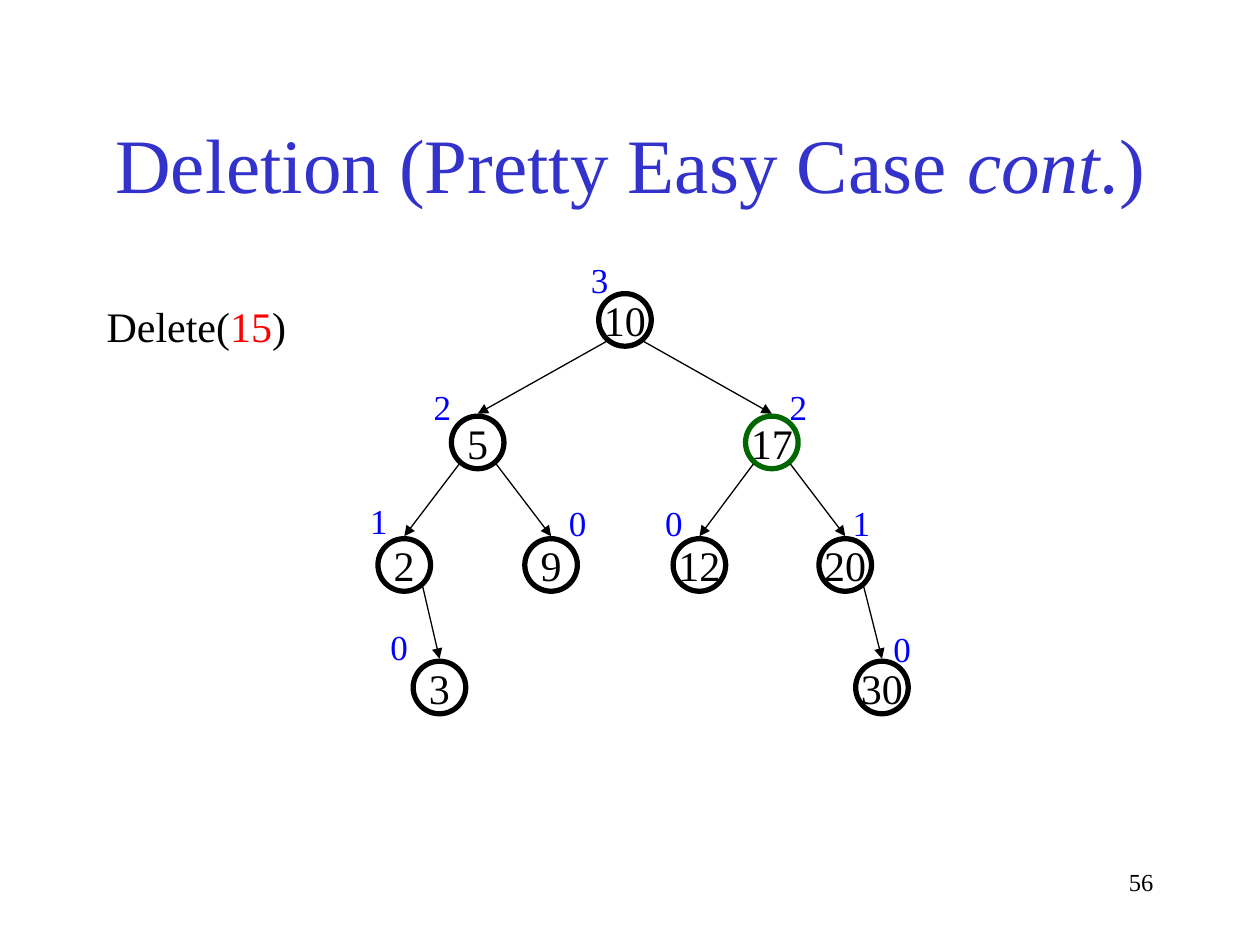
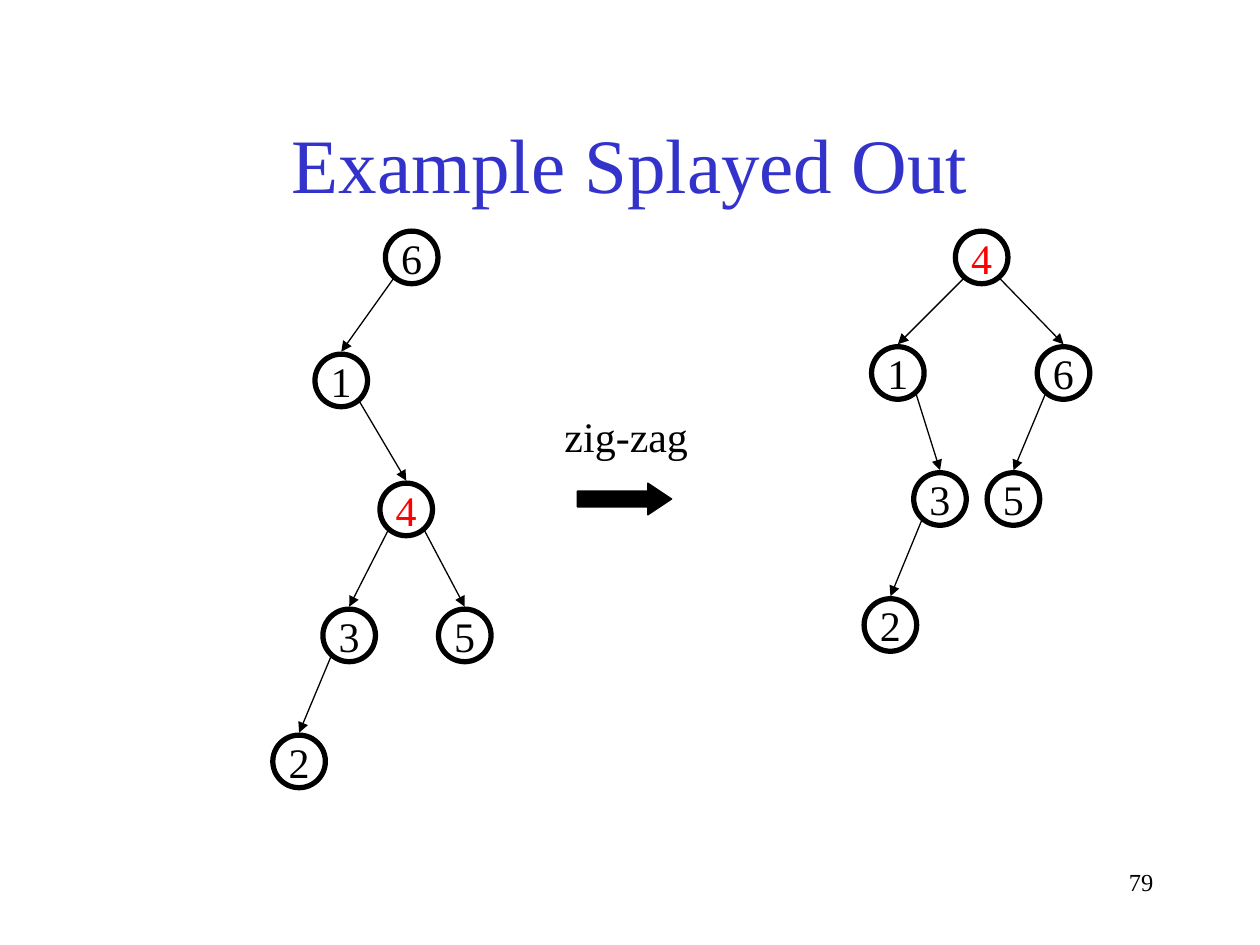
from dataclasses import dataclass

from lxml import etree
from pptx import Presentation
from pptx.dml.color import RGBColor
from pptx.enum.shapes import MSO_CONNECTOR, MSO_SHAPE
from pptx.enum.text import MSO_ANCHOR, MSO_AUTO_SIZE, PP_ALIGN
from pptx.oxml.ns import qn
from pptx.util import Cm, Pt

LEFT, CENTER, RIGHT = PP_ALIGN.LEFT, PP_ALIGN.CENTER, PP_ALIGN.RIGHT
TOP, MIDDLE = MSO_ANCHOR.TOP, MSO_ANCHOR.MIDDLE
FIT_SHAPE = MSO_AUTO_SIZE.SHAPE_TO_FIT_TEXT
CIRCLE, RIGHT_ARROW = MSO_SHAPE.OVAL, MSO_SHAPE.RIGHT_ARROW
STRAIGHT = MSO_CONNECTOR.STRAIGHT


@dataclass(frozen=True)
class Theme:
    font: str = "Times New Roman"
    ink: RGBColor = RGBColor(0, 0, 0)
    title: RGBColor = RGBColor(0x33, 0x33, 0xCC)
    height: RGBColor = RGBColor(0, 0, 0xFF)
    key: RGBColor = RGBColor(0xFF, 0, 0)
    changed: RGBColor = RGBColor(0, 0x66, 0)
    title_size: int = 44
    body_size: int = 24
    height_size: int = 20
    number_size: int = 14
    node_line: float = 3
    edge_line: float = 0.75


THEME = Theme()

# All lengths in centimetres
NODE = 1.06         # diameter of a tree node
EDGE_SIDE = 0.37    # start of an edge, sideways from the node's centre
EDGE_DROP = 0.43    # start of an edge, below the node's centre
EDGE_GAP = 0.05     # space between an arrowhead and its node

# Trees: key -> (left, level, parent key)
AVL_LEVELS = [0, 2.47, 4.94, 7.41]
AVL_TREE = {
    10: (4.45, 0, None),
    5: (1.48, 1, 10), 17: (7.41, 1, 10),
    2: (0, 2, 5), 9: (2.96, 2, 5), 12: (5.95, 2, 17), 20: (8.89, 2, 17),
    3: (0.71, 3, 2), 30: (9.63, 3, 20),
}
# Heights: key -> (height, offset of its label from the node's corner)
AVL_HEIGHTS = {
    10: (3, -0.41, -0.84),
    5: (2, -0.61, -0.74), 17: (2, 0.64, -0.74),
    2: (1, -0.41, -0.91), 9: (0, 0.64, -0.87),
    12: (0, -0.41, -0.87), 20: (1, 0.43, -0.87),
    3: (0, -0.71, -0.84), 30: (0, 0.51, -0.81),
}
BEFORE_LEVELS = [0, 2.48, 5.08, 7.62, 10.16]
BEFORE_TREE = {
    6: (2.27, 0, None), 1: (0.85, 1, 6), 4: (2.16, 2, 1),
    3: (1.01, 3, 4), 5: (3.34, 3, 4), 2: (0, 4, 3),
}
AFTER_LEVELS = [0, 2.33, 4.87, 7.41]
AFTER_TREE = {
    4: (1.84, 0, None), 1: (0.15, 1, 4), 6: (3.49, 1, 4),
    3: (1, 2, 1), 5: (2.48, 2, 6), 2: (0, 3, 3),
}


def write(shape, spans, size, align=LEFT, anchor=TOP, wrap=True):
    """Fill a shape with one paragraph of (text, colour, italic) spans."""
    frame = shape.text_frame
    frame.word_wrap = wrap
    frame.vertical_anchor = anchor
    para = frame.paragraphs[0]
    para.alignment = align
    for text, color, italic in spans:
        span = para.add_run()
        span.text = text
        span.font.name = THEME.font
        span.font.size = Pt(size)
        span.font.italic = italic
        span.font.color.rgb = color


def add_text(page, box, spans, size, **options):
    shape = page.shapes.add_textbox(*map(Cm, box))
    write(shape, spans, size, **options)
    return shape


def add_label(page, box, spans, size):
    """Add a one-line text whose box grows with it."""
    shape = add_text(page, box, spans, size, wrap=False)
    shape.text_frame.auto_size = FIT_SHAPE


def add_frame(page, title, number):
    """Add the parts every slide has: title and slide number."""
    add_text(page, (1.9, 1.69, 21.6, 3.18), title, THEME.title_size,
             align=CENTER, anchor=MIDDLE)
    add_text(page, (18.2, 17.36, 5.3, 1.27), [(str(number), THEME.ink, False)],
             THEME.number_size, align=RIGHT)


def add_node(page, left, top, key, outline, color):
    node = page.shapes.add_shape(CIRCLE, *map(Cm, (left, top, NODE, NODE)))
    node.shadow.inherit = False
    node.fill.background()
    node.line.color.rgb = outline
    node.line.width = Pt(THEME.node_line)
    write(node, [(str(key), color, False)], THEME.body_size,
          align=CENTER, anchor=MIDDLE, wrap=False)


def add_edge(page, parent, child):
    """Point from the lower side of the parent to the top of the child."""
    side = EDGE_SIDE if child[0] > parent[0] else -EDGE_SIDE
    middle = NODE / 2
    ends = (parent[0] + middle + side, parent[1] + middle + EDGE_DROP,
            child[0] + middle, child[1] - EDGE_GAP)
    edge = page.shapes.add_connector(STRAIGHT, *map(Cm, ends))
    edge.line.color.rgb = THEME.ink
    edge.line.width = Pt(THEME.edge_line)
    etree.SubElement(edge.line._get_or_add_ln(), qn("a:tailEnd"), type="triangle")
    etree.SubElement(edge._element.spPr, qn("a:effectLst"))


def add_tree(page, left, top, tree, levels, outlines=None, colors=None):
    """Draw a tree from its top left corner; return the node corners."""
    outlines, colors = outlines or {}, colors or {}
    corners = {key: (left + x, top + levels[level])
               for key, (x, level, _) in tree.items()}
    for key, (_, _, parent) in tree.items():
        add_node(page, *corners[key], key, outlines.get(key, THEME.ink),
                 colors.get(key, THEME.ink))
        if parent is not None:
            add_edge(page, corners[parent], corners[key])
    return corners


def add_heights(page, corners, heights):
    for key, (height, dx, dy) in heights.items():
        x, y = corners[key]
        add_label(page, (x + dx, y + dy, 0.86, 1.12),
                  [(str(height), THEME.height, False)], THEME.height_size)


def add_rotation_sign(page, left, top, name):
    """Add the name of a rotation above a block arrow."""
    add_label(page, (left, top, 3, 1.27), [(name, THEME.ink, False)],
              THEME.body_size)
    arrow = page.shapes.add_shape(
        RIGHT_ARROW, *map(Cm, (left + 0.51, top + 1.58, 1.9, 0.64)))
    arrow.adjustments[0], arrow.adjustments[1] = 0.5, 0.75
    arrow.shadow.inherit = False
    arrow.fill.solid()
    arrow.fill.fore_color.rgb = THEME.ink
    arrow.line.color.rgb = THEME.ink
    arrow.line.width = Pt(THEME.edge_line)


def build_deletion(page):
    add_frame(page, [("Deletion (Pretty Easy Case ", THEME.title, False),
                     ("cont", THEME.title, True),
                     (".)", THEME.title, False)], 56)
    corners = add_tree(page, 7.62, 5.92, AVL_TREE, AVL_LEVELS,
                       outlines={17: THEME.changed})
    add_heights(page, corners, AVL_HEIGHTS)
    # Operation, in a box with room for its single line
    add_label(page, (1.9, 5.93, 4.6, 1.27),
              [("Delete(", THEME.ink, False), ("15", THEME.key, False),
               (")", THEME.ink, False)], THEME.body_size)


def build_splay(page):
    add_frame(page, [("Example Splayed Out", THEME.title, False)], 79)
    # Before and after the rotation
    splayed = {4: THEME.key}
    add_tree(page, 5.5, 4.66, BEFORE_TREE, BEFORE_LEVELS, colors=splayed)
    add_rotation_sign(page, 11.13, 8.16, "zig-zag")
    add_tree(page, 17.42, 4.66, AFTER_TREE, AFTER_LEVELS, colors=splayed)


def main():
    deck = Presentation()
    deck.slide_width, deck.slide_height = Cm(25.4), Cm(19.05)
    blank = deck.slide_layouts[6]
    for build in (build_deletion, build_splay):
        build(deck.slides.add_slide(blank))
    deck.save("out.pptx")


if __name__ == "__main__":
    main()
